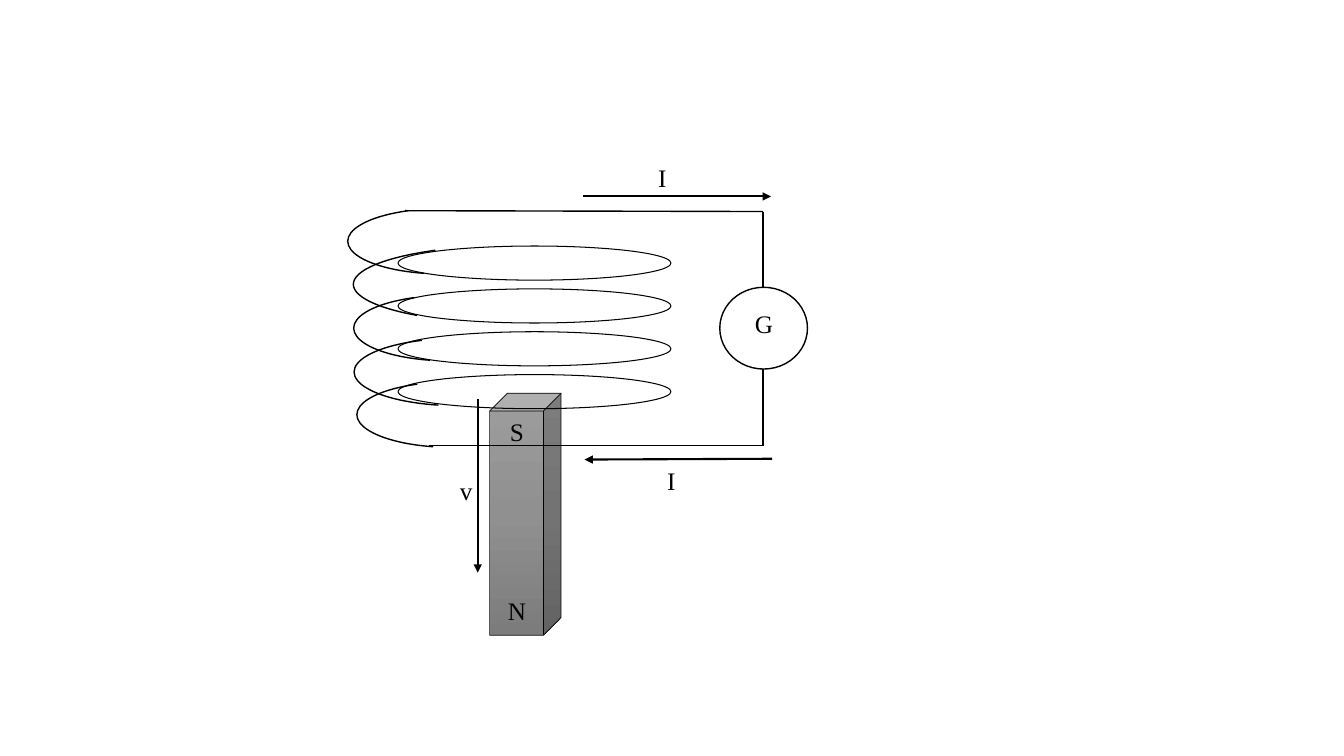
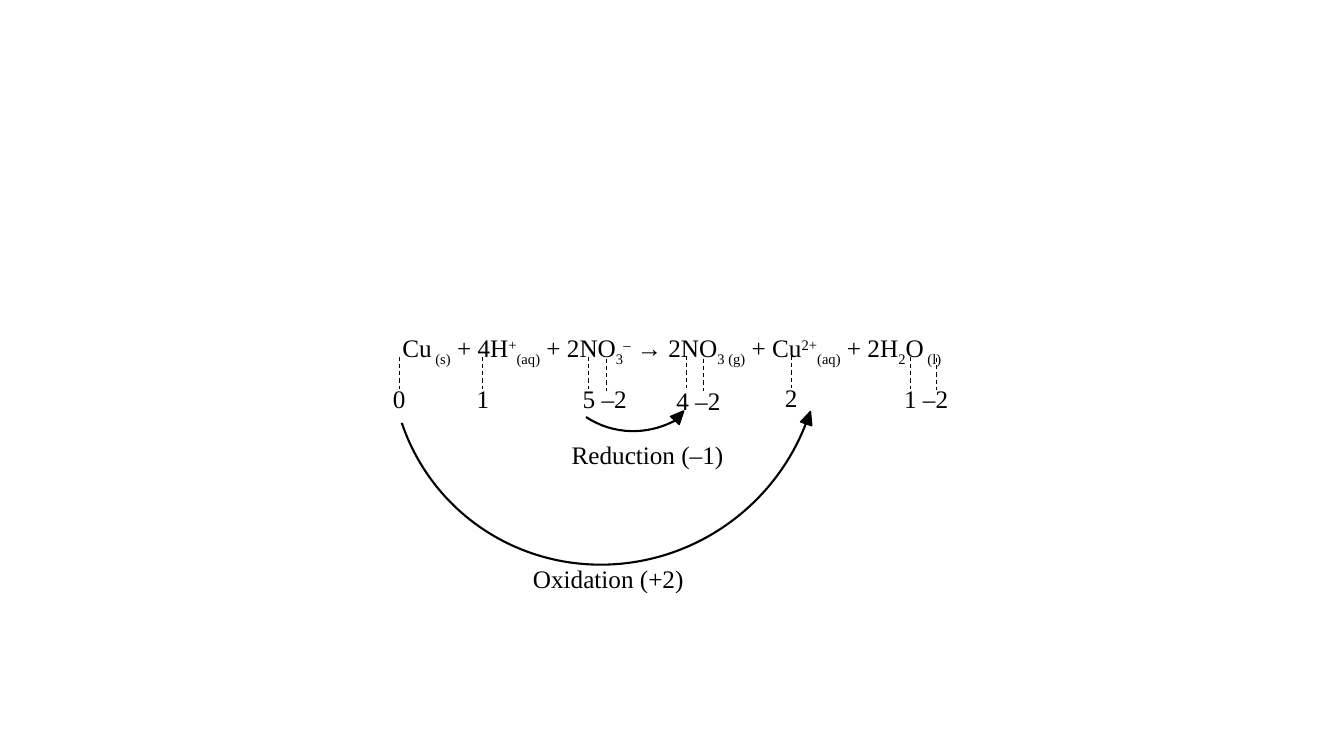
from copy import deepcopy

from lxml import etree
from pptx import Presentation
from pptx.dml.color import RGBColor
from pptx.enum.dml import MSO_LINE
from pptx.enum.shapes import MSO_CONNECTOR, MSO_SHAPE
from pptx.enum.text import MSO_AUTO_SIZE, PP_ALIGN
from pptx.oxml.ns import qn
from pptx.util import Cm, Pt

STRAIGHT = MSO_CONNECTOR.STRAIGHT
ARC, CUBE = MSO_SHAPE.ARC, MSO_SHAPE.CUBE
OVAL, TRIANGLE = MSO_SHAPE.OVAL, MSO_SHAPE.ISOSCELES_TRIANGLE
DASH = MSO_LINE.DASH
CENTER = PP_ALIGN.CENTER
FIT_SHAPE = MSO_AUTO_SIZE.SHAPE_TO_FIT_TEXT

INK, WHITE = "000000", "FFFFFF"
FONT, FONT_SIZE = "Times New Roman", 18
LABEL_HEIGHT = 1.02
SUB, SUPER = -25000, 30000

EQUATION = [
    ("Cu", 0), (" (s)", SUB), (" + 4H", 0), ("+", SUPER), ("(aq)", SUB),
    (" + 2NO", 0), ("3", SUB), ("–", SUPER), (" → 2NO", 0), ("3 (g)", SUB),
    (" + Cu", 0), ("2+", SUPER), ("(aq)", SUB), (" + 2H", 0), ("2", SUB),
    ("O", 0), (" (l)", SUB),
]


def color(value):
    return RGBColor.from_string(value)


def add_outline(page, kind, left, top, width, height, weight, fill=None):
    """Add a preset shape with an ink outline and an optional fill."""
    shape = page.shapes.add_shape(kind, Cm(left), Cm(top), Cm(width), Cm(height))
    shape.shadow.inherit = False
    shape.line.color.rgb = color(INK)
    shape.line.width = Pt(weight)
    if fill:
        shape.fill.solid()
        shape.fill.fore_color.rgb = color(fill)
    else:
        shape.fill.background()
    return shape


def add_arc(page, left, top, width, height, weight, rotation, start, end):
    arc = add_outline(page, ARC, left, top, width, height, weight)
    arc.rotation = rotation
    arc.adjustments[0] = start
    arc.adjustments[1] = end
    return arc


def add_line(page, start, end, weight, arrow=False, dash=None):
    line = page.shapes.add_connector(
        STRAIGHT, Cm(start[0]), Cm(start[1]), Cm(end[0]), Cm(end[1]))
    line.line.color.rgb = color(INK)
    line.line.width = Pt(weight)
    if dash:
        line.line.dash_style = dash
    if arrow:
        etree.SubElement(line.line._get_or_add_ln(), qn("a:tailEnd"), type="triangle")
    etree.SubElement(line._element.spPr, qn("a:effectLst"))


def add_label(page, spans, center, top, width, wrap=False):
    """Add centred text from (text, baseline) pairs around a centre x."""
    box = page.shapes.add_textbox(
        Cm(center - width / 2), Cm(top), Cm(width), Cm(LABEL_HEIGHT))
    frame = box.text_frame
    frame.word_wrap = wrap
    frame.auto_size = FIT_SHAPE
    para = frame.paragraphs[0]
    para.alignment = CENTER
    for text, baseline in spans:
        span = para.add_run()
        span.text = text
        span.font.name = FONT
        span.font.size = Pt(FONT_SIZE)
        span.font.color.rgb = color(INK)
        if baseline:
            span._r.get_or_add_rPr().set("baseline", str(baseline))


def add_magnet(page):
    magnet = add_outline(page, CUBE, 12.34, 9.91, 1.8, 6.1, 0.5)
    magnet.fill.gradient()
    magnet.fill.gradient_angle = 270
    stop_list = magnet._element.spPr.find(qn("a:gradFill")).find(qn("a:gsLst"))
    stop_list.insert(1, deepcopy(stop_list[0]))
    shades = [(0, "9D9D9D"), (0.5, "909090"), (1, "7C7C7C")]
    for stop, (position, shade) in zip(magnet.fill.gradient_stops, shades):
        stop.position = position
        stop.color.rgb = color(shade)


def add_coil(page):
    for turn in range(4):
        add_outline(page, OVAL, 10.03, 6.2 + 1.08 * turn, 6.88, 0.86, 0.75)
    bends = [
        (11.94, 3.15, 1.96, 8.03, 147.75, 172.79),
        (10.49, 5.87, 1.65, 4.8, 137.24, 197.68),
        (10.69, 6.76, 1.7, 5.23, 137.24, 197.68),
        (10.34, 3.68, 1.65, 4.8, 137.24, 197.68),
        (10.57, 8.05, 1.65, 4.8, 137.24, 197.68),
    ]
    for left, top, width, height, start, end in bends:
        bend = add_arc(page, left, top, width, height, 1, 270, start, end)
        bend._element.spPr.find(qn("a:xfrm")).set("flipH", "1")


def build_induction(page):
    add_magnet(page)
    add_line(page, (12.04, 10.06), (12.04, 14.43), 1.5, arrow=True)
    add_coil(page)

    top_right, bottom_right = (19.23, 5.33), (19.23, 11.23)
    add_line(page, (10.21, 5.31), top_right, 1)
    add_line(page, (10.82, 11.23), bottom_right, 1)
    add_line(page, top_right, bottom_right, 1)
    add_outline(page, OVAL, 18.14, 7.24, 2.21, 2.06, 1, WHITE)

    add_line(page, (14.68, 4.95), (19.43, 4.95), 1.5, arrow=True)
    add_line(page, (19.46, 11.56), (14.73, 11.58), 1.5, arrow=True)

    labels = [
        ("N", 13.02, 14.88, 0.94), ("S", 13.02, 10.36, 0.84),
        ("v", 11.75, 11.86, 0.84), ("G", 19.23, 7.65, 0.91),
        ("I", 16.69, 3.96, 0.71), ("I", 16.92, 11.61, 0.71),
    ]
    for text, center, top, width in labels:
        add_label(page, [(text, 0)], center, top, width, wrap=text == "v")


def build_redox(page):
    add_label(page, EQUATION, 16.93, 8.26, 15.52)

    numbers = [
        ("0", 10.06, 9.53, 0.86), ("1", 12.17, 9.53, 1.35),
        ("5 –2", 15.24, 9.53, 1.68), ("4 –2", 17.6, 9.58, 1.68),
        ("2", 19.94, 9.5, 0.86), ("1 –2", 23.34, 9.53, 1.68),
    ]
    for text, center, top, width in numbers:
        add_label(page, [(text, 0)], center, top, width, wrap=len(text) == 1)

    ties = [
        (10.06, 8.99), (12.17, 8.99), (14.83, 8.99), (15.29, 9.04), (17.3, 8.97),
        (17.73, 9.04), (19.94, 8.97), (22.94, 8.99), (23.6, 9.02),
    ]
    for x, top in ties:
        add_line(page, (x, top), (x, top + 0.8), 0.75, dash=DASH)

    add_arc(page, 9.8, 3.51, 10.92, 10.67, 1.5, 141.3, 142.48, 11.56)
    add_arc(page, 13.69, 6.3, 4.7, 4.47, 1.5, 115.3, 183.13, 4.51)
    for left, top, rotation in [(20.22, 10.36, 19), (16.97, 10.31, 42.7)]:
        head = add_outline(page, TRIANGLE, left, top, 0.3, 0.33, 1, INK)
        head.rotation = rotation

    add_label(page, [("Oxidation (+2)", 0)], 15.33, 14.07, 4.7)
    add_label(page, [("Reduction (–1)", 0)], 16.32, 10.95, 4.65)


def main():
    deck = Presentation()
    deck.slide_width, deck.slide_height = Cm(33.87), Cm(19.05)
    for build in (build_induction, build_redox):
        page = deck.slides.add_slide(deck.slide_layouts[6])
        build(page)
    deck.save("out.pptx")


if __name__ == "__main__":
    main()
